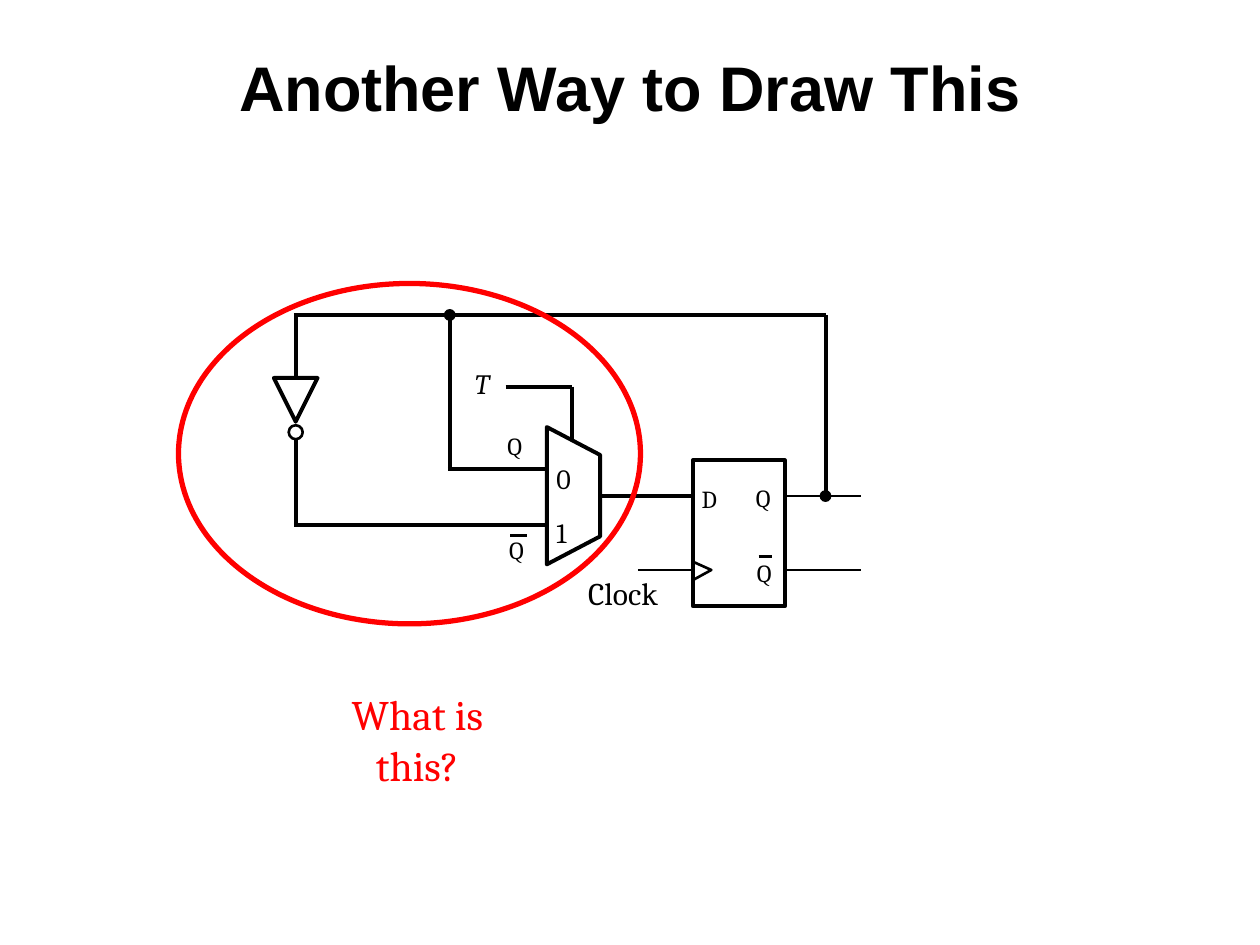
from lxml.etree import SubElement
from pptx import Presentation
from pptx.dml.color import RGBColor
from pptx.enum.shapes import MSO_CONNECTOR, MSO_SHAPE
from pptx.enum.text import MSO_ANCHOR, PP_ALIGN
from pptx.oxml.ns import qn
from pptx.util import Pt

THEME = {
    "ink": RGBColor(0, 0, 0), "paper": RGBColor(255, 255, 255), "accent": RGBColor(255, 0, 0),
    "heading": "Arial", "body": "Cambria",
    "title": 36, "question": 24, "clock": 18, "mux": 16, "pin": 14,
    "wire": 2.25, "thin": 1.5, "bar": 2, "dot": 0.75, "ring": 3,
}
INK, PAPER, ACCENT = THEME["ink"], THEME["paper"], THEME["accent"]

TITLE = "Another Way to Draw This"
QUESTION = "What is this?"

FEEDBACK_Y, OUTPUT_Y, CLOCK_Y = 180, 283.5, 325.75
INVERTER_X, BRANCH_X, OUTPUT_X = 169, 257, 471.75
INPUT_0_Y, INPUT_1_Y = 268, 300
SELECT_X, SELECT_Y = 327, 221
MUX_LEFT, MUX_RIGHT = 312.5, 343
FLIP_FLOP = (396, 263, 52.5, 83.5)
FF_LEFT, FF_RIGHT = FLIP_FLOP[0], FLIP_FLOP[0] + FLIP_FLOP[2]
STUB_END = 491.75

WIRES = [
    (INVERTER_X - 1, FEEDBACK_Y, OUTPUT_X + 0.5, FEEDBACK_Y, "wire"),
    (BRANCH_X, FEEDBACK_Y, BRANCH_X, INPUT_0_Y, "wire"),
    (BRANCH_X - 1, INPUT_0_Y, MUX_LEFT, INPUT_0_Y, "wire"),
    (OUTPUT_X, FEEDBACK_Y, OUTPUT_X, OUTPUT_Y, "wire"),
    (INVERTER_X, FEEDBACK_Y, INVERTER_X, 216, "wire"),
    (INVERTER_X, 251, INVERTER_X, INPUT_1_Y, "wire"),
    (INVERTER_X - 1, INPUT_1_Y, MUX_LEFT, INPUT_1_Y, "wire"),
    (289, SELECT_Y, SELECT_X, SELECT_Y, "wire"),
    (SELECT_X, SELECT_Y, SELECT_X, 251, "wire"),
    (MUX_RIGHT, OUTPUT_Y, FF_LEFT, OUTPUT_Y, "wire"),
    (364.5, CLOCK_Y, FF_LEFT, CLOCK_Y, "thin"),
    (FF_RIGHT, OUTPUT_Y, STUB_END, OUTPUT_Y, "thin"),
    (FF_RIGHT, CLOCK_Y, STUB_END, CLOCK_Y, "thin"),
    (433.5, 318, 441, 318, "thin"),
    (291.5, 306, 301, 306, "bar"),
]
OUTLINES = [
    ([(MUX_LEFT, 244), (MUX_RIGHT, 260), (MUX_RIGHT, 306.5), (MUX_LEFT, 322.5)], True, "wire"),
    ([(INVERTER_X - 12.5, 216), (INVERTER_X + 12.5, 216), (INVERTER_X, 241)], True, "wire"),
    ([(FF_LEFT, 331.5), (406.5, CLOCK_Y), (FF_LEFT, 321)], False, "thin"),
]
JUNCTIONS = [(BRANCH_X, FEEDBACK_Y), (OUTPUT_X, OUTPUT_Y)]
LABELS = [
    ("T", 271.5, 209.5, "mux", True),
    ("0", 318, 263.5, "mux", False),
    ("1", 318, 294.5, "mux", False),
    ("D", 401, 276.5, "pin", False),
    ("Q", 432, 276, "pin", False),
    ("Q", 432.5, 319, "pin", False),
    ("Q", 290, 246.25, "pin", False),
    ("Q", 291, 305.5, "pin", False),
]


def write(frame, text, size, font="body", color=INK, bold=False, italic=False,
          align=PP_ALIGN.LEFT, inset=(0, 0)):
    frame.word_wrap = True
    frame.vertical_anchor = MSO_ANCHOR.TOP
    frame.margin_left = frame.margin_right = Pt(inset[0])
    frame.margin_top = frame.margin_bottom = Pt(inset[1])
    paragraph = frame.paragraphs[0]
    paragraph.alignment = align
    run = paragraph.add_run()
    run.text = text
    run.font.name, run.font.size = THEME[font], Pt(THEME[size])
    run.font.bold, run.font.italic = bold, italic
    run.font.color.rgb = color


def text_box(slide, box, text, size, **style):
    write(slide.shapes.add_textbox(*map(Pt, box)).text_frame, text, size, **style)


def paint(shape, width, color=INK, fill=None):
    shape.shadow.inherit = False
    if fill is None:
        shape.fill.background()
    else:
        shape.fill.solid()
        shape.fill.fore_color.rgb = fill
    shape.line.color.rgb, shape.line.width = color, Pt(THEME[width])


def add_shape(slide, kind, box, width, **style):
    paint(slide.shapes.add_shape(kind, *map(Pt, box)), width, **style)


def add_circle(slide, x, y, diameter, width, fill):
    box = (x - diameter / 2, y - diameter / 2, diameter, diameter)
    add_shape(slide, MSO_SHAPE.OVAL, box, width, fill=fill)


def add_wire(slide, x1, y1, x2, y2, width):
    wire = slide.shapes.add_connector(MSO_CONNECTOR.STRAIGHT, *map(Pt, (x1, y1, x2, y2)))
    wire.line.color.rgb, wire.line.width = INK, Pt(THEME[width])
    SubElement(wire.element.spPr, qn("a:effectLst"))


def add_outline(slide, points, closed, width):
    corners = [(Pt(x), Pt(y)) for x, y in points]
    builder = slide.shapes.build_freeform(*corners[0])
    builder.add_line_segments(corners[1:], close=closed)
    paint(builder.convert_to_shape(), width)


def main():
    deck = Presentation()
    deck.slide_width, deck.slide_height = Pt(720), Pt(540)
    slide = deck.slides.add_slide(deck.slide_layouts[5])

    title = slide.shapes.title
    title.left, title.top, title.width, title.height = map(Pt, (0, 24, 720, 48))
    write(title.text_frame, TITLE, "title", font="heading", bold=True,
          align=PP_ALIGN.CENTER, inset=(7.2, 3.6))

    add_shape(slide, MSO_SHAPE.RECTANGLE, FLIP_FLOP, "wire", fill=PAPER)
    for wire in WIRES:
        add_wire(slide, *wire)
    for outline in OUTLINES:
        add_outline(slide, *outline)
    add_circle(slide, INVERTER_X, 247, 8, "thin", PAPER)
    for x, y in JUNCTIONS:
        add_circle(slide, x, y, 6, "dot", INK)

    for text, x, y, size, italic in LABELS:
        text_box(slide, (x, y, 16, 19), text, size, italic=italic)
    text_box(slide, (329, 324.75, 60, 29), "Clock", "clock", inset=(7.2, 3.6))
    text_box(slide, (168, 390, 141, 66), QUESTION, "question", color=ACCENT,
             align=PP_ALIGN.CENTER, inset=(14.4, 3.6))
    add_shape(slide, MSO_SHAPE.OVAL, (102, 162, 264, 194.5), "ring", color=ACCENT)

    deck.save("out.pptx")


if __name__ == "__main__":
    main()
